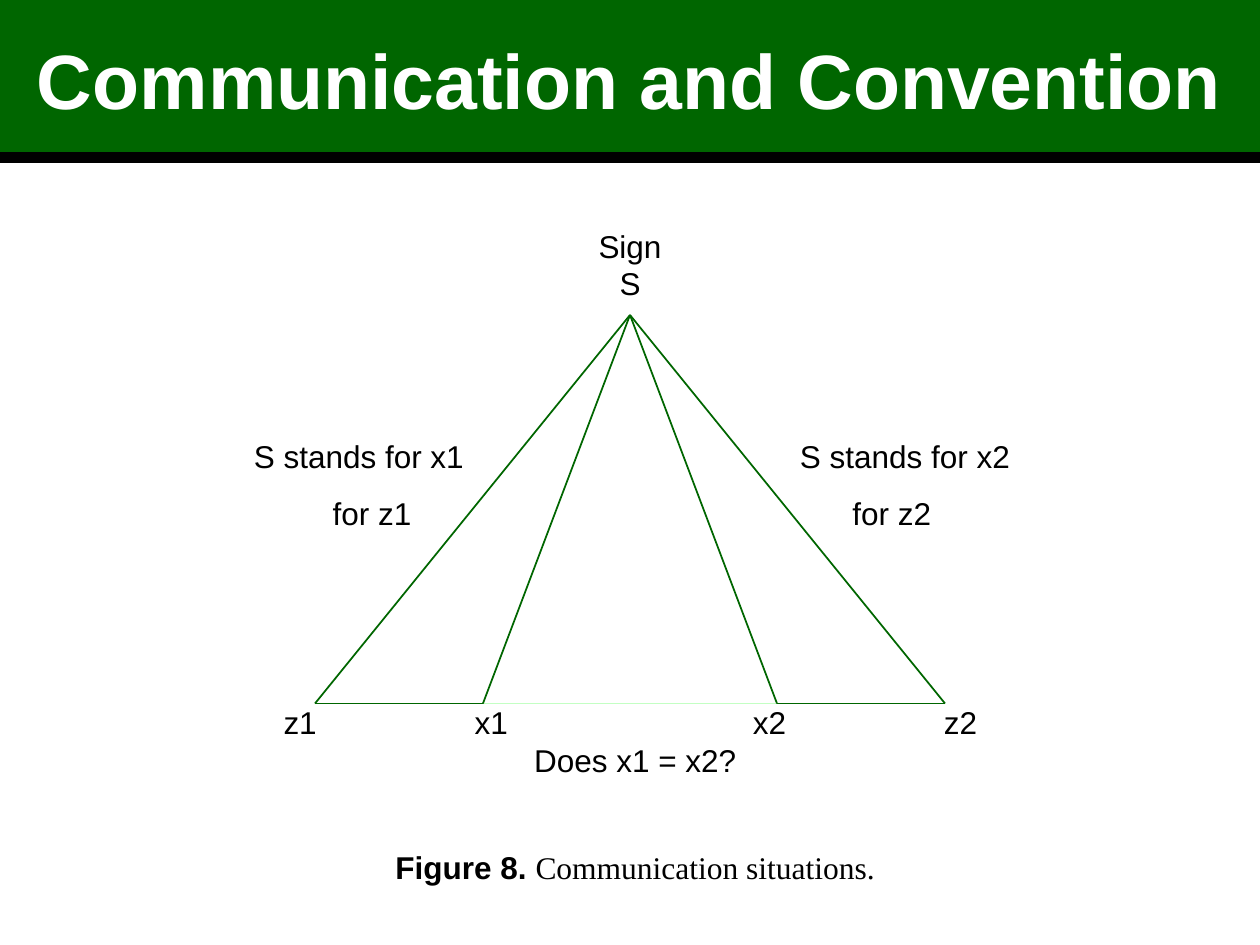
from pptx import Presentation
from pptx import util as u
from pptx.dml.color import RGBColor
from pptx.enum import shapes, text
from pptx.oxml.ns import qn
from lxml import etree

PX = 7620  # EMU per px, 120 px to the inch
COLORS = {"green": "006600", "pale": "C3FFC3", "black": "000000", "white": "FFFFFF"}
CENTER, LEFT = text.PP_ALIGN.CENTER, text.PP_ALIGN.LEFT


def rgb(name):
    return RGBColor.from_string(COLORS[name])


class Canvas:
    def __init__(self, slide, font="Arial", size=18):
        self.slide, self.font, self.size = slide, font, size

    def run(self, paragraph, words, color="black", size=None, bold=False, font=None):
        run = paragraph.add_run()
        run.text = words
        run.font.name = font or self.font
        run.font.size = u.Pt(size or self.size)
        run.font.bold = bold
        run.font.color.rgb = rgb(color)

    def banner(self, left, top, width, height, words):
        shape = self.slide.shapes.add_shape(
            shapes.MSO_SHAPE.RECTANGLE, *(n * PX for n in (left, top, width, height)))
        shape.shadow.inherit = False
        shape.fill.solid()
        shape.fill.fore_color.rgb = rgb("green")
        shape.line.fill.background()
        shape.text_frame.vertical_anchor = text.MSO_ANCHOR.MIDDLE
        paragraph = shape.text_frame.paragraphs[0]
        paragraph.alignment = CENTER
        self.run(paragraph, words, "white", 44, True)

    def textbox(self, left, top, width, height, inset=True):
        shape = self.slide.shapes.add_textbox(*(n * PX for n in (left, top, width, height)))
        frame = shape.text_frame
        frame.word_wrap = True
        if not inset:
            frame.margin_left = frame.margin_right = frame.margin_top = frame.margin_bottom = 0
        return frame

    def paragraph(self, frame, words, align=CENTER, before=0, indent=0, tabs=()):
        first = frame.paragraphs[0]
        paragraph = frame.add_paragraph() if first.runs else first
        properties = paragraph._p.get_or_add_pPr()
        if indent:
            properties.set("marL", str(indent * PX))
        if tabs:
            stops = etree.SubElement(properties, qn("a:tabLst"))
            for stop in tabs:
                etree.SubElement(stops, qn("a:tab"), pos=str(stop * PX), algn="l")
        paragraph.alignment = align
        if before:
            paragraph.space_before = u.Pt(before)
        if words:
            self.run(paragraph, words)
        return paragraph

    def line(self, start, end, color="green", width=1):
        line = self.slide.shapes.add_connector(
            shapes.MSO_CONNECTOR.STRAIGHT, *(n * PX for n in (*start, *end)))
        line.line.color.rgb = rgb(color)
        line.line.width = u.Pt(width)
        etree.SubElement(line._element.spPr, qn("a:effectLst"))


def main():
    presentation = Presentation()
    presentation.slide_width, presentation.slide_height = 1200 * PX, 900 * PX
    canvas = Canvas(presentation.slides.add_slide(presentation.slide_layouts[6]))

    # Title banner
    canvas.banner(0, 0, 1200, 150, "Communication and Convention")

    # Sign at the apex
    sign = canvas.textbox(430, 210, 340, 84)
    for words in ("Sign", "S"):
        canvas.paragraph(sign, words)

    # Labels under the base
    base = canvas.textbox(235, 670, 740, 72, inset=False)
    canvas.paragraph(base, "\tz1\tx1\tx2\tz2", LEFT, tabs=(35, 217, 482, 664))
    canvas.paragraph(base, "Does x1 = x2?")

    # Caption
    caption = canvas.paragraph(canvas.textbox(200, 802, 810, 48), "")
    canvas.run(caption, "Figure 8. ", bold=True)
    canvas.run(caption, "Communication situations.", font="Times New Roman")

    # Rule below the banner
    canvas.line((0, 150), (1200, 150), "black", 6)

    # Triangles
    apex = (600, 300)
    z1, x1, x2, z2 = ((x, 670) for x in (300, 460, 740, 900))
    canvas.line(x1, x2, "pale", 0.5)
    for corner in (z1, z2, x1, x2):
        canvas.line(apex, corner)
    for start, end in ((z1, x1), (x2, z2)):
        canvas.line(start, end)

    # Side notes
    for number, left, indent in ((1, 230, 75), (2, 750, 50)):
        note = canvas.textbox(left, 410, 240, 103)
        canvas.paragraph(note, f"S stands for x{number}", LEFT)
        canvas.paragraph(note, f"for z{number}", LEFT, before=11.2, indent=indent)

    presentation.save("out.pptx")


if __name__ == "__main__":
    main()
